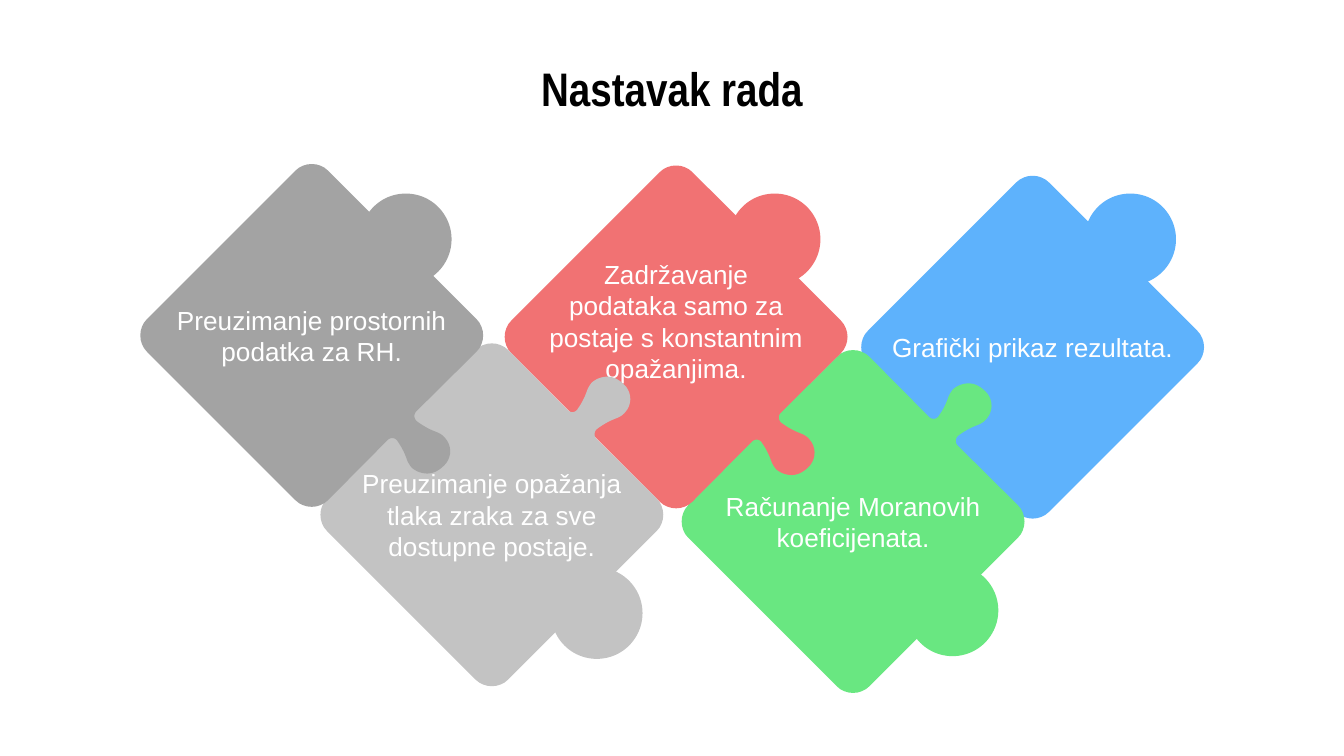
from pptx import Presentation
from pptx import util as u
from pptx.dml.color import RGBColor
from pptx.enum import shapes, text

BLACK = RGBColor(0x00, 0x00, 0x00)
WHITE = RGBColor(0xFF, 0xFF, 0xFF)
GRAY = RGBColor(0xA3, 0xA3, 0xA3)
SILVER = RGBColor(0xC3, 0xC3, 0xC3)
RED = RGBColor(0xF1, 0x72, 0x73)
GREEN = RGBColor(0x69, 0xE7, 0x81)
BLUE = RGBColor(0x5E, 0xB2, 0xFC)

KNOB_SIZE = 49
LINE_HEIGHT = 17
CURVE_STEPS = 8

# fmt: off
CORNER = [(88.3, -8.7), (93, -4), (93, 4), (88.3, 8.7)]
TAB = [
    (56.2, 40.5), (54.5, 42), (54.5, 45), (57, 46.5),
    (59.8, 48.5), (62.8, 50.2), (66.2, 51.5),
    (68.3, 52.3), (70, 53.2), (71.5, 55),
    (75, 59), (75, 64.5), (72, 68.5),
    (69, 72), (65.5, 74), (62, 74),
    (59, 74), (56, 73), (53.5, 70.8),
    (52.5, 69.5), (51.5, 68), (51, 66.5),
    (49.8, 63), (48.3, 60), (46.2, 57),
    (45, 54.5), (42, 54.5), (40.5, 56.2),
]
# fmt: on

PIECES = [
    (BLUE, (553.2, 186), (605.5, 128.2), (-1, 1), ["Grafički prikaz rezultata."], 0),
    (GREEN, (457, 279.4), (510.3, 327), (1, -1), ["Računanje Moranovih koeficijenata."], 0),
    (RED, (362.2, 180.5), (415, 128.2), (1, 1),
     ["Zadržavanje", "podataka samo za", "postaje s konstantnim", "opažanjima."], LINE_HEIGHT),
    (SILVER, (263.5, 275.8), (319.7, 328.5), (1, -1),
     ["Preuzimanje opažanja tlaka zraka za sve dostupne postaje."], 0),
    (GRAY, (167, 179.7), (217.4, 128.2), (1, 1), ["Preuzimanje prostornih podatka za RH."], 0),
]


def curve(points):
    """Return points along a chain of cubic curves."""
    result = [points[0]]
    for first in range(0, len(points) - 1, 3):
        a, b, c, d = points[first:first + 4]
        for step in range(1, CURVE_STEPS + 1):
            t = step / CURVE_STEPS
            s = 1 - t
            result.append(tuple(
                s**3 * a[i] + 3 * s * s * t * b[i] + 3 * s * t * t * c[i] + t**3 * d[i]
                for i in (0, 1)))
    return result


def puzzle_outline():
    """Return a rounded diamond with a tab on its lower right side, centred on zero."""
    corner = curve(CORNER)
    bottom = [(-y, x) for x, y in corner]
    left = [(-x, -y) for x, y in corner]
    top = [(y, -x) for x, y in corner]
    return corner + curve(TAB) + bottom + left + top


def paint(shape, color):
    """Give a shape a flat fill without line or shadow."""
    shape.shadow.inherit = False
    shape.fill.solid()
    shape.fill.fore_color.rgb = color
    shape.line.fill.background()


def add_span(para, words, font, size, color):
    """Add one formatted run to a centred paragraph."""
    para.alignment = text.PP_ALIGN.CENTER
    span = para.add_run()
    span.text = words
    span.font.name = font
    span.font.size = u.Pt(size)
    span.font.color.rgb = color
    return span


def add_knob(page, center, color):
    """Add the round knob of a puzzle piece."""
    left, top = (u.Pt(value - KNOB_SIZE / 2) for value in center)
    size = u.Pt(KNOB_SIZE)
    paint(page.shapes.add_shape(shapes.MSO_SHAPE.OVAL, left, top, size, size), color)


def add_piece(page, center, flip, color, lines, lift):
    """Add a labelled puzzle piece whose tab side is set by flip."""
    points = [tuple(u.Pt(center[i] + flip[i] * point[i]) for i in (0, 1))
              for point in puzzle_outline()]
    builder = page.shapes.build_freeform(*points[0])
    builder.add_line_segments(points[1:], close=True)
    piece = builder.convert_to_shape()
    paint(piece, color)
    frame = piece.text_frame
    frame.word_wrap = True
    frame.vertical_anchor = text.MSO_ANCHOR.MIDDLE
    frame.margin_left = frame.margin_right = u.Pt(13)
    frame.margin_top = u.Pt(7.2)
    frame.margin_bottom = u.Pt(7.2 + lift)
    for index, line in enumerate(lines):
        para = frame.add_paragraph() if index else frame.paragraphs[0]
        add_span(para, line, "Arial", 14, WHITE)


def add_title(page, words):
    """Place and format the slide title."""
    box = page.shapes.title
    box.left, box.top, box.width, box.height = u.Pt(36), u.Pt(32.4), u.Pt(648), u.Pt(29.5)
    frame = box.text_frame
    frame.auto_size = text.MSO_AUTO_SIZE.NONE
    frame.vertical_anchor = text.MSO_ANCHOR.MIDDLE
    add_span(frame.paragraphs[0], words, "Arial Narrow", 25.2, BLACK).font.bold = True


def main():
    """Build the slide and save the deck."""
    deck = Presentation()
    deck.slide_width, deck.slide_height = u.Pt(720), u.Pt(405)
    page = deck.slides.add_slide(deck.slide_layouts[5])
    add_title(page, "Nastavak rada")
    for color, center, knob_center, flip, lines, lift in PIECES:
        add_knob(page, knob_center, color)
        add_piece(page, center, flip, color, lines, lift)
    deck.save("out.pptx")


if __name__ == "__main__":
    main()
